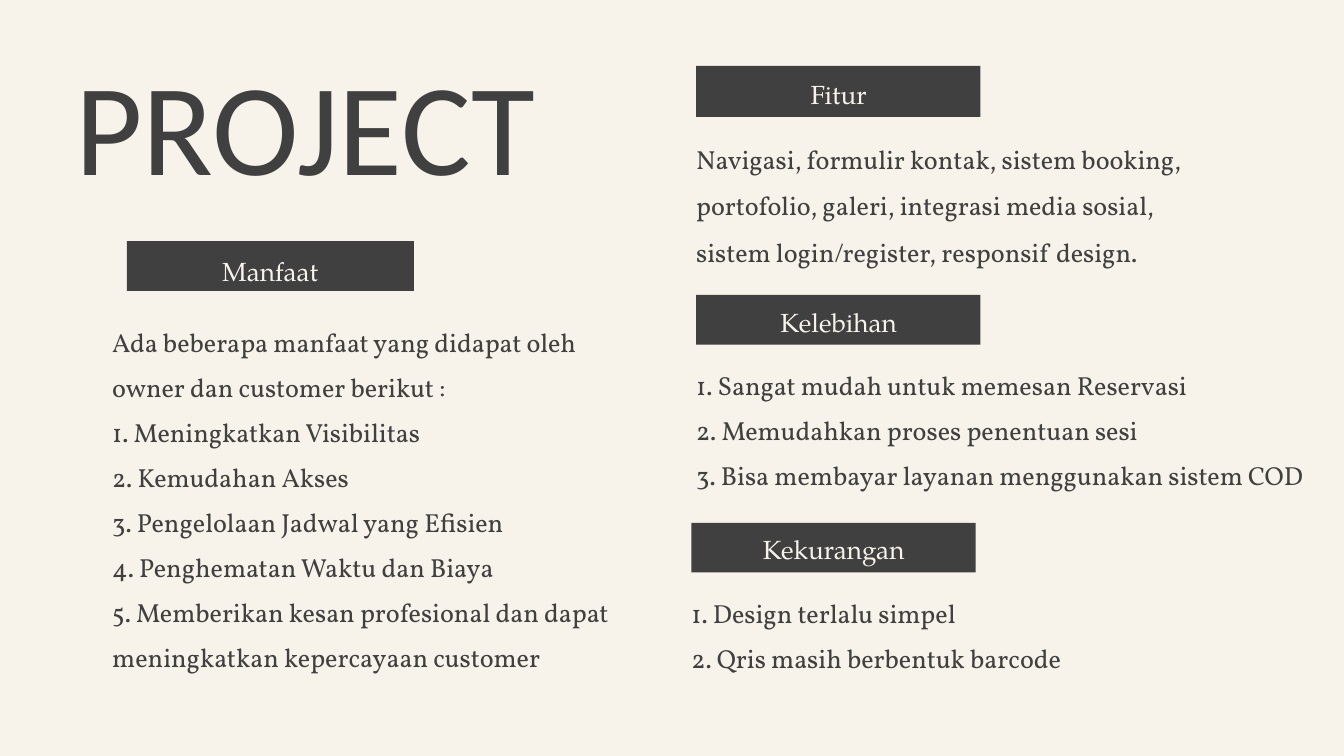
from dataclasses import dataclass

from lxml.etree import SubElement
from pptx import Presentation
from pptx.dml.color import RGBColor
from pptx.enum.shapes import MSO_SHAPE as Shape
from pptx.enum.text import MSO_ANCHOR as Anchor, MSO_AUTO_SIZE as AutoSize, PP_ALIGN as Align
from pptx.oxml.ns import qn
from pptx.util import Emu, Pt

EMU_PER_PX = 9144  # 100 px to the inch
COLORS = {"paper": "F7F3EA", "ink": "404040"}
HEADING_FONT, BODY_FONT = "TeX Gyre Pagella", "Vollkorn"


@dataclass
class Area:
    left: int
    top: int
    width: int
    height: int

    def emu(self) -> list[Emu]:
        return [Emu(px * EMU_PER_PX) for px in (self.left, self.top, self.width, self.height)]


@dataclass
class Section:
    heading: str
    bar: Area
    label: Area
    body: Area
    lines: list[str]
    spacing: float = 48.2


SECTIONS = [
    Section("Manfaat", Area(189, 359, 427, 74), Area(167, 360, 470, 59), Area(167, 466, 767, 531), [
        "Ada beberapa manfaat yang didapat oleh owner dan customer berikut :",
        "1. Meningkatkan Visibilitas",
        "2. Kemudahan Akses",
        "3. Pengelolaan Jadwal yang Efisien",
        "4. Penghematan Waktu dan Biaya",
        "5. Memberikan kesan profesional dan dapat meningkatkan kepercayaan customer",
    ]),
    Section("Fitur", Area(1036, 98, 423, 76), Area(1092, 95, 312, 62), Area(1036, 191, 748, 201), [
        "Navigasi, formulir kontak, sistem booking, portofolio, galeri, "
        "integrasi media sosial, sistem login/register, responsif design.",
    ], spacing=49.6),
    Section("Kelebihan", Area(1036, 439, 423, 74), Area(1092, 436, 312, 60), Area(1036, 529, 939, 194), [
        "1. Sangat mudah untuk memesan Reservasi",
        "2. Memudahkan proses penentuan sesi",
        "3. Bisa membayar layanan menggunakan sistem COD",
    ]),
    Section("Kekurangan", Area(1029, 778, 423, 74), Area(1061, 774, 359, 60), Area(1029, 868, 622, 127), [
        "1. Design terlalu simpel",
        "2. Qris masih berbentuk barcode",
    ]),
]


def color(name: str) -> RGBColor:
    return RGBColor.from_string(COLORS[name])


def place(box, area: Area) -> None:
    box.left, box.top, box.width, box.height = area.emu()


def write(box, lines: list[str], *, font: str, spacing: float, size: int = 28,
          ink: str = "ink", align: Align = Align.LEFT) -> None:
    frame = box.text_frame
    frame.word_wrap = True
    frame.auto_size = AutoSize.NONE
    frame.vertical_anchor = Anchor.TOP
    frame.margin_left = frame.margin_top = frame.margin_right = frame.margin_bottom = 0
    for number, line in enumerate(lines):
        para = frame.add_paragraph() if number else frame.paragraphs[0]
        properties = para._p.get_or_add_pPr()
        properties.set("marL", "0")
        properties.set("indent", "0")
        SubElement(properties, qn("a:buNone"))
        para.alignment = align
        para.line_spacing = Pt(spacing)
        para.space_before = Pt(0)
        span = para.add_run()
        span.text = line
        span.font.name = font
        span.font.size = Pt(size)
        span.font.bold = False
        span.font.color.rgb = color(ink)


def draw_heading(page, section: Section) -> None:
    bar = page.shapes.add_shape(Shape.RECTANGLE, *section.bar.emu())
    bar.shadow.inherit = False
    bar.fill.solid()
    bar.fill.fore_color.rgb = color("ink")
    bar.line.fill.background()
    label = page.shapes.add_textbox(*section.label.emu())
    write(label, [section.heading], font=HEADING_FONT, spacing=section.spacing,
          ink="paper", align=Align.CENTER)


def main() -> None:
    deck = Presentation()
    deck.slide_width, deck.slide_height = Area(0, 0, 2000, 1125).emu()[2:]

    # The comparison layout has a title and four body placeholders
    page = deck.slides.add_slide(deck.slide_layouts[4])
    page.background.fill.solid()
    page.background.fill.fore_color.rgb = color("paper")

    # Title
    title, *bodies = page.placeholders
    place(title, Area(112, 107, 854, 202))
    write(title, ["PROJECT"], font="Calibri", spacing=138.6, size=140)

    # Sections: heading bar and text
    for section, body in zip(SECTIONS, bodies):
        draw_heading(page, section)
        place(body, section.body)
        write(body, section.lines, font=BODY_FONT, spacing=section.spacing)

    deck.save("out.pptx")


if __name__ == "__main__":
    main()
